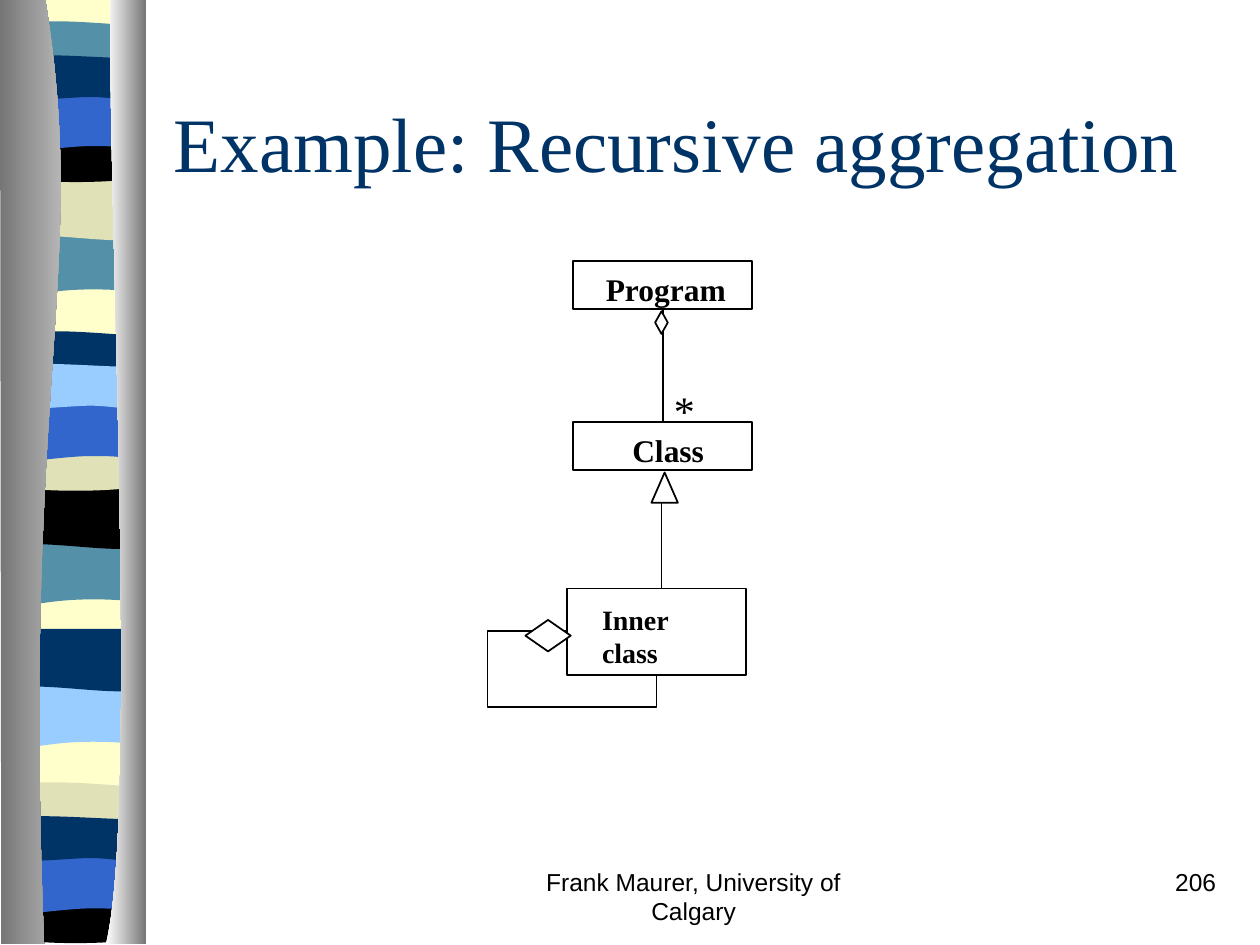
from pptx import Presentation
from pptx.dml.color import RGBColor
from pptx.enum.shapes import MSO_CONNECTOR, MSO_SHAPE
from pptx.enum.text import MSO_ANCHOR, PP_ALIGN
from pptx.oxml.ns import qn
from pptx.util import Inches, Pt

THEME = {
    "serif": "Times New Roman", "sans": "Arial",
    "title": 44, "class": 18, "subclass": 16, "star": 24, "footer": 14, "line": 1,
    "navy": "003366", "black": "000000", "white": "FFFFFF", "cream": "FFFFCC",
    "teal": "5490A8", "sand": "E1E1B7", "blue": "3366CC", "sky": "99CCFF",
    "grey": "767676", "light grey": "D3D3D3",
}

TITLE = "Example: Recursive aggregation"
# name: text, left and top of the label, type size, box (left, top, width, height)
CLASSES = {
    "program": ("Program", 4.71, 2.09, "class", (4.55, 2.07, 1.42, 0.38)),
    "class": ("Class", 4.92, 3.37, "class", (4.55, 3.35, 1.42, 0.38)),
    "inner": ("Inner class", 4.68, 4.73, "subclass", (4.5, 4.67, 1.42, 0.69)),
}
SELF_LOOP = [(4.5, 5.01), (3.87, 5.01), (3.87, 5.61), (5.21, 5.61), (5.21, 5.36)]
FOOTERS = [
    ("Frank Maurer, University of Calgary", 3.92, 3.17, PP_ALIGN.CENTER),
    ("206", 7.67, 2.08, PP_ALIGN.RIGHT),
]

# Band outlines from the top right corner; two numbers are a line, six a curve
LEFT, RIGHT = 0.06, 1.14
BACKING = [(RIGHT, 0), (RIGHT, 7.47), (LEFT, 7.47), (LEFT, 0)]
BANDS = {
    "wave": [(RIGHT, 0), (RIGHT, 0.47), (0.39, 0.39, 0.24, 0.55, LEFT, 0.47), (LEFT, 0)],
    "swell": [(RIGHT, 0), (RIGHT, 0.47), (0.96, 0.55, 0.39, 0.42, LEFT, 0.47), (LEFT, 0)],
    "thin": [(RIGHT, 0.05), (RIGHT, 0.29), (0.96, 0.33, 0.24, 0.33, LEFT, 0.29),
             (LEFT, 0.05), (0.12, 0, 0.29, 0.01, 0.47, 0.01),
             (0.65, 0.01, 1, 0.04, RIGHT, 0.05)],
    "dip": [(RIGHT, 0), (RIGHT, 0.32), (0.96, 0.38, 0.24, 0.38, LEFT, 0.32),
            (LEFT, 0), (0.72, 0.05, 0.91, 0, RIGHT, 0)],
    "arch": [(RIGHT, 0), (RIGHT, 0.47), (0.97, 0.42, 0.9, 0.42, 0.72, 0.42),
             (0.54, 0.42, 0.22, 0.47, LEFT, 0.47), (LEFT, 0)],
    "ripple": [(RIGHT, 0.05), (RIGHT, 0.36), (1.07, 0.41, 0.9, 0.36, 0.72, 0.36),
               (0.54, 0.36, 0.17, 0.41, LEFT, 0.36), (LEFT, 0.05),
               (0.21, 0, 0.79, 0.05, 0.97, 0.05), (RIGHT, 0.05)],
}
# Outline, top and colour, from back to front
STRIPES = [
    ("wave", 1.85, "teal"), ("swell", 1.41, "sand"), ("thin", 0.16, "teal"),
    ("dip", 1.08, "black"), ("arch", 0.74, "blue"), ("ripple", 0.41, "navy"),
    ("wave", 4.31, "teal"), ("swell", 3.86, "black"), ("thin", 2.62, "navy"),
    ("dip", 3.53, "sand"), ("arch", 3.2, "blue"), ("ripple", 2.86, "sky"),
    ("wave", 5.44, "sky"), ("swell", 4.99, "navy"), ("thin", 6.2, "sand"),
    ("dip", 7.12, "black"), ("arch", 6.79, "blue"), ("ripple", 6.45, "navy"),
]
# Outline and the colours from left to right
COLUMNS = [
    ([(0.36, 0), (0.71, 2.16, 0.17, 2.96, 0.35, 7.49), (0.01, 7.49), (0, 0)],
     ("grey", "light grey")),
    ([(0.88, 0), (0.84, 1.25, 1.11, 6.46, 0.84, 7.49), (1.16, 7.49), (1.16, 0)],
     ("white", "grey")),
]


def color(name):
    return RGBColor.from_string(THEME[name])


def add_outline(page, outline, top=0, close=True):
    """Draw an outline; the three points of each curve become one cubic segment."""
    points = [(Inches(part[i]), Inches(part[i + 1] + top))
              for part in outline for i in range(0, len(part), 2)]
    builder = page.shapes.build_freeform(*points[0])
    builder.add_line_segments(points[1:], close=close)
    shape = builder.convert_to_shape()
    segments = iter(list(shape._element.iter(qn("a:lnTo"))))
    for part in outline[1:]:
        first = next(segments)
        if len(part) == 6:
            curve = first.makeelement(qn("a:cubicBezTo"), {})
            first.addprevious(curve)
            for segment in (first, next(segments), next(segments)):
                curve.append(segment[0])
                segment.getparent().remove(segment)
    shape.shadow.inherit = False
    shape.line.fill.background()
    return shape


def ink(line):
    line.color.rgb = color("black")
    line.width = Pt(THEME["line"])


def add_node(page, kind, left, top, width, height):
    shape = page.shapes.add_shape(kind, *map(Inches, (left, top, width, height)))
    shape.shadow.inherit = False
    shape.fill.solid()
    shape.fill.fore_color.rgb = color("white")
    ink(shape.line)
    return shape


def add_line(page, x1, y1, x2, y2):
    line = page.shapes.add_connector(MSO_CONNECTOR.STRAIGHT, *map(Inches, (x1, y1, x2, y2)))
    ink(line.line)
    properties = line._element.spPr
    properties.append(properties.makeelement(qn("a:effectLst"), {}))
    return line


def write(frame, text, size, font="serif", ink_color="black", bold=False, align=PP_ALIGN.LEFT):
    frame.text = text
    para = frame.paragraphs[0]
    para.alignment = align
    span = para.runs[0].font
    span.name, span.size, span.bold = THEME[font], Pt(THEME[size]), bold
    span.color.rgb = color(ink_color)


def add_text(page, text, left, top, width, height, size, wrap=False, **style):
    box = page.shapes.add_textbox(*map(Inches, (left, top, width, height)))
    box.text_frame.word_wrap = wrap
    write(box.text_frame, text, size, **style)


def main():
    deck = Presentation()
    deck.slide_width, deck.slide_height = Inches(10), Inches(7.5)
    page = deck.slides.add_slide(deck.slide_layouts[5])

    # Striped border with a shaded column on either side
    stripes = [(BACKING, 0, "cream")]
    stripes += [(BANDS[band], top, name) for band, top, name in STRIPES]
    for outline, top, name in stripes:
        stripe = add_outline(page, outline, top)
        stripe.fill.solid()
        stripe.fill.fore_color.rgb = color(name)
    for outline, shades in COLUMNS:
        column = add_outline(page, outline)
        column.fill.gradient()
        column.fill.gradient_angle = 0
        for stop, shade in zip(column.fill.gradient_stops, shades):
            stop.color.rgb = color(shade)

    # Title
    title = page.shapes.title
    title.left, title.top, title.width, title.height = map(Inches, (1.28, 0.5, 8.5, 1.25))
    title.text_frame.vertical_anchor = MSO_ANCHOR.MIDDLE
    write(title.text_frame, TITLE, "title", ink_color="navy")

    # Class boxes with their labels
    nodes = {}
    for name, (text, left, top, size, place) in CLASSES.items():
        nodes[name] = add_node(page, MSO_SHAPE.RECTANGLE, *place)
        add_text(page, text, left, top, 1.2, 0.4, size, bold=True)

    # Inheritance and aggregation
    add_line(page, 5.25, 4.67, 5.25, 3.92)
    aggregation = add_line(page, 5.26, 3.35, 5.26, 2.45)
    aggregation.begin_connect(nodes["class"], 0)
    aggregation.end_connect(nodes["program"], 2)
    add_node(page, MSO_SHAPE.DIAMOND, 5.2, 2.47, 0.1, 0.18)
    add_text(page, "*", 5.25, 3, 0.37, 0.5, "star")
    add_node(page, MSO_SHAPE.ISOSCELES_TRIANGLE, 5.17, 3.75, 0.21, 0.24)

    # Recursive aggregation
    loop = add_outline(page, SELF_LOOP, close=False)
    loop.fill.background()
    ink(loop.line)
    add_node(page, MSO_SHAPE.DIAMOND, 4.17, 4.92, 0.36, 0.25)

    # Footer and page number
    for text, left, width, align in FOOTERS:
        add_text(page, text, left, 6.83, width, 0.5, "footer", wrap=True,
                 font="sans", align=align)

    deck.save("out.pptx")


if __name__ == "__main__":
    main()
